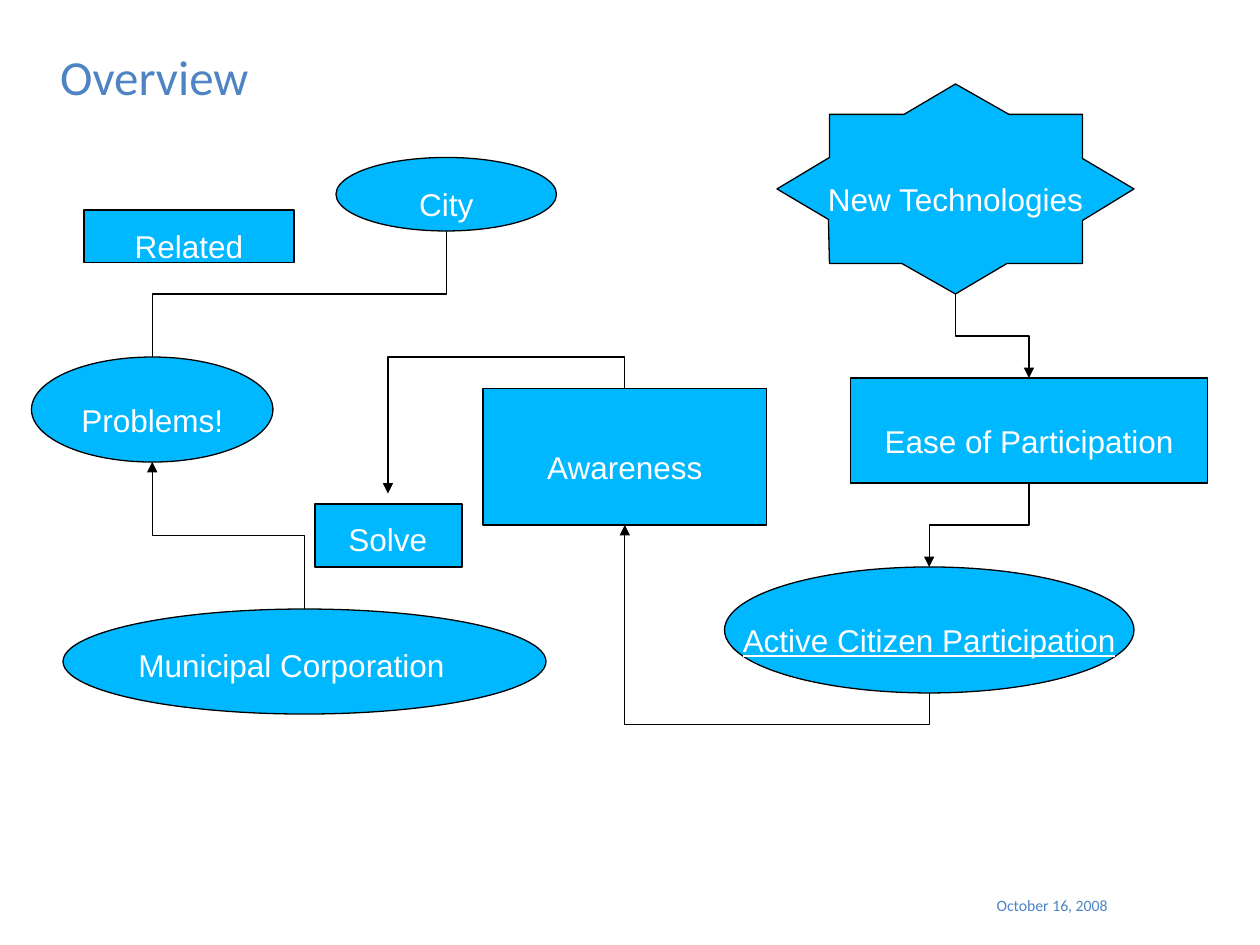
from lxml import etree
from pptx import Presentation
from pptx.dml.color import RGBColor
from pptx.enum.shapes import MSO_CONNECTOR, MSO_SHAPE
from pptx.enum.text import MSO_ANCHOR, MSO_AUTO_SIZE, PP_ALIGN
from pptx.oxml.ns import qn
from pptx.util import Cm, Pt

RECT, OVAL = MSO_SHAPE.RECTANGLE, MSO_SHAPE.OVAL
ELBOW = MSO_CONNECTOR.ELBOW
TOP, MIDDLE = MSO_ANCHOR.TOP, MSO_ANCHOR.MIDDLE
LEFT, CENTER, RIGHT = PP_ALIGN.LEFT, PP_ALIGN.CENTER, PP_ALIGN.RIGHT
NONE = MSO_AUTO_SIZE.NONE

COLORS = {"fill": "00B8FF", "line": "000000", "text": "FFFFFF", "title": "4E84C4"}
STEP = 2.54 / 12

NODES = [
    ("solve", RECT, (30, 48, 14, 6), ""),
    ("problems", OVAL, (3, 34, 23, 10), "Problems!"),
    ("city", OVAL, (32, 15, 21, 7), "City"),
    ("corporation", OVAL, (6, 58, 46, 10), ""),
    ("related", RECT, (8, 20, 20, 5), "Related"),
    ("awareness", RECT, (46, 37, 27, 13), "Awareness"),
    ("active", OVAL, (69, 54, 39, 12), "Active Citizen Participation"),
    ("ease", RECT, (81, 36, 34, 10), "Ease of Participation"),
]
STAR = [
    (74, 18), (78.9, 20.9), (79, 25.1), (85.9, 25.1), (91, 28), (95.9, 25.1),
    (103.1, 25.1), (103.1, 21), (108, 18), (103.1, 15.1), (103.1, 10.9),
    (96.1, 10.9), (91, 8), (86.1, 10.9), (79, 10.9), (79, 15),
]
LABELS = [
    ("corporation label", (12, 59, 47, 6.7), "Municipal Corporation", True, 11.2),
    ("solve label", (32, 47, 9.9, 6.7), "Solve", False, 0),
]
LINKS = [
    ("corporation", "top", "problems", "bottom", 0.5, True),
    ("city", "bottom", "problems", "top", 0.5, False),
    ("ease", "bottom", "active", "top", 0.5, True),
    ("active", "bottom", "awareness", "bottom", -0.19, True),
    ("star", "bottom", "ease", "top", 0.5, True),
    ("awareness", "top", "solve label", "top", -0.3, True),
]


def rgb(name):
    return RGBColor.from_string(COLORS[name])


def grid(box):
    return [Cm(n * STEP) for n in box]


def write(shape, text, size=18, face="Arial", color="text", align=CENTER,
          anchor=MIDDLE, wrap=False, space=1.54, under=None):
    frame = shape.text_frame
    frame.auto_size = NONE
    frame.word_wrap = wrap
    frame.vertical_anchor = anchor
    para = frame.paragraphs[0]
    para.alignment = align
    para.line_spacing = space
    para.space_before = Pt(0)
    run = para.add_run()
    run.text = text
    font = run.font
    font.size, font.name, font.underline = Pt(size), face, under
    font.color.rgb = rgb(color)


def paint(shape):
    shape.shadow.inherit = False
    shape.fill.solid()
    shape.fill.fore_color.rgb = rgb("fill")
    shape.line.color.rgb = rgb("line")
    shape.line.width = Pt(0.75)


def spot(shape, side):
    y = shape.top + (shape.height if side == "bottom" else 0)
    return shape.left + shape.width // 2, y


def site(shape, kind, side):
    if side == "top":
        return 0
    return 4 if kind == OVAL else 2


def link(start, out, end, into, bend, arrow):
    (x1, y1), (x2, y2) = spot(nodes[start], out), spot(nodes[end], into)
    line = slide.shapes.add_connector(ELBOW, x1, y1, x2, y2)
    line.begin_connect(nodes[start], 0)
    line.end_connect(nodes[end], 0)
    item = line._element
    for tag, name, side in (("a:stCxn", start, out), ("a:endCxn", end, into)):
        join = next(item.iter(qn(tag)))
        join.set("idx", str(site(nodes[name], kinds.get(name), side)))

    wide, high = abs(y2 - y1), abs(x2 - x1)
    line.left, line.top = (x1 + x2 - wide) // 2, (y1 + y2 - high) // 2
    line.width, line.height = wide, high
    form = next(item.iter(qn("a:xfrm")))
    for flip in ("flipH", "flipV"):
        form.attrib.pop(flip, None)
    down, right = y2 > y1, x2 > x1
    form.set("rot", str((90 if down != right else 270) * 60000))
    if right:
        form.set("flipH", "1")
    if not down:
        form.set("flipV", "1")

    guides = next(item.iter(qn("a:avLst")))
    etree.SubElement(guides, qn("a:gd"), name="adj1",
                     fmla=f"val {round(bend * 100000)}")
    line.line.color.rgb = rgb("line")
    line.line.width = Pt(0.75)
    if arrow:
        etree.SubElement(line.line._get_or_add_ln(), qn("a:tailEnd"), type="triangle")
    etree.SubElement(item.spPr, qn("a:effectLst"))


deck = Presentation()
deck.slide_width, deck.slide_height = Cm(25.4), Cm(19.05)
slide = deck.slides.add_slide(deck.slide_layouts[5])
title = slide.shapes.title
title.left, title.top, title.width, title.height = Cm(0.96), Cm(0.76), Cm(23.44), Cm(1.65)
write(title, "Overview", size=28, face="Calibri", color="title", align=LEFT,
      wrap=True, space=0.95)

date = slide.shapes.add_textbox(Cm(18.67), Cm(17.93), Cm(3.91), Cm(0.89))
write(date, "October 16, 2008", size=9, face="Calibri", color="title",
      align=RIGHT, anchor=TOP, wrap=True, space=1)

nodes = {}
kinds = {name: kind for name, kind, box, text in NODES}
for name, kind, box, text in NODES:
    nodes[name] = slide.shapes.add_shape(kind, *grid(box))
    paint(nodes[name])
    if text:
        write(nodes[name], text, under=name == "active" or None)

points = [grid(point) for point in STAR]
path = slide.shapes.build_freeform(*points[0])
path.add_line_segments(points[1:], close=True)
nodes["star"] = path.convert_to_shape()
paint(nodes["star"])
write(nodes["star"], "New Technologies")

for name, box, text, wrap, before in LABELS:
    nodes[name] = slide.shapes.add_textbox(*grid(box))
    write(nodes[name], text, align=LEFT, anchor=TOP, wrap=wrap)
    nodes[name].text_frame.paragraphs[0].space_before = Pt(before)

for row in LINKS:
    link(*row)

deck.save("out.pptx")
